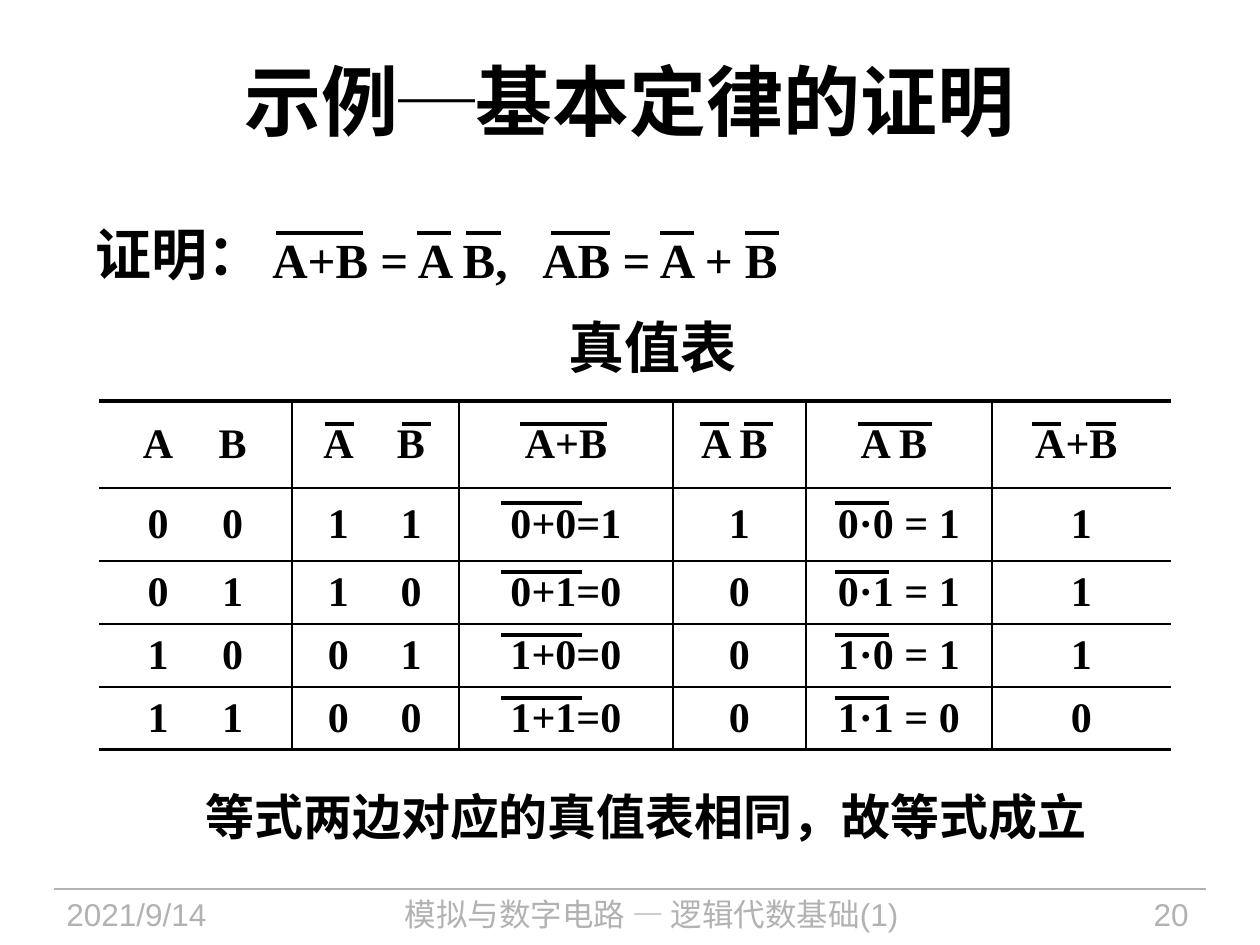
from lxml import etree
from pptx import Presentation
from pptx.dml.color import RGBColor
from pptx.enum.shapes import MSO_CONNECTOR
from pptx.enum.text import MSO_ANCHOR, PP_ALIGN
from pptx.oxml.ns import qn
from pptx.util import Emu, Pt

LEFT, CENTER, RIGHT = PP_ALIGN.LEFT, PP_ALIGN.CENTER, PP_ALIGN.RIGHT
TOP, MIDDLE = MSO_ANCHOR.TOP, MSO_ANCHOR.MIDDLE
STRAIGHT = MSO_CONNECTOR.STRAIGHT
PX_PER_INCH = 126
SANS, SERIF = "Arial", "Times New Roman"
BLACK, GRAY = "000000", "B2B2B2"


def px(length):
    return Emu(round(length * 914400 / PX_PER_INCH))


def color(value):
    return RGBColor.from_string(value)


def apply(target, values):
    for name, value in values.items():
        setattr(target, name, value)


def tab_stop(para, position):
    stops = etree.SubElement(para._p.get_or_add_pPr(), qn("a:tabLst"))
    etree.SubElement(stops, qn("a:tab"), pos=str(px(position)), algn="l")


def set_borders(cell, widths):
    """Draw the left, right, top and bottom border; a width of 0 hides it."""
    properties = cell._tc.get_or_add_tcPr()
    for index, (side, width) in enumerate(zip("LRTB", widths)):
        line = etree.Element(qn(f"a:ln{side}"), w=str(Pt(width)))
        if width:
            fill = etree.SubElement(line, qn("a:solidFill"))
            etree.SubElement(fill, qn("a:srgbClr"), val=BLACK)
        else:
            etree.SubElement(line, qn("a:noFill"))
        properties.insert(index, line)


class SlideWriter:
    def __init__(self, deck):
        self.page = deck.slides.add_slide(deck.slide_layouts[5])

    def spans(self, para, parts, size, ink=BLACK, bold=True, align=LEFT):
        """Fill a paragraph with (wording, font name) parts."""
        para.alignment = align
        for wording, font in parts:
            span = para.add_run()
            span.text = wording
            apply(span.font, {"name": font, "size": Pt(size), "bold": bold})
            span.font.color.rgb = color(ink)

    def title(self, parts, left, top, width, height, size):
        box = self.page.shapes.title
        apply(box, {"left": px(left), "top": px(top),
                    "width": px(width), "height": px(height)})
        box.text_frame.vertical_anchor = MIDDLE
        self.spans(box.text_frame.paragraphs[0], parts, size, align=CENTER)

    def text(self, wording, left, top, width, height, size, font=SANS,
             anchor=TOP, tab=None, **style):
        box = self.page.shapes.add_textbox(px(left), px(top), px(width), px(height))
        apply(box.text_frame, {"word_wrap": False, "vertical_anchor": anchor})
        para = box.text_frame.paragraphs[0]
        if tab:
            tab_stop(para, tab)
        self.spans(para, [(wording, font)], size, **style)

    def horizontal(self, left, right, y, width=2.25, ink=BLACK):
        line = self.page.shapes.add_connector(STRAIGHT, px(left), px(y), px(right), px(y))
        line.line.color.rgb = color(ink)
        line.line.width = Pt(width)
        etree.SubElement(line._element.spPr, qn("a:effectLst"))

    def table(self, rows, x_edges, y_edges, dividers, rules, margins, size):
        """Dividers and rules give one line width per inner column and row edge."""
        frame = self.page.shapes.add_table(
            len(rows), len(x_edges) - 1, px(x_edges[0]), px(y_edges[0]),
            px(x_edges[-1] - x_edges[0]), px(y_edges[-1] - y_edges[0]))
        table = frame.table
        apply(table, {"first_row": False, "horz_banding": False})
        for column, start, end in zip(table.columns, x_edges, x_edges[1:]):
            column.width = px(end - start)
        for row, start, end in zip(table.rows, y_edges, y_edges[1:]):
            row.height = px(end - start)
        for r, row in enumerate(rows):
            for c, wording in enumerate(row):
                cell = table.cell(r, c)
                left, right = margins(r, c)
                apply(cell, {"margin_left": px(left), "margin_right": px(right),
                             "margin_top": 0, "margin_bottom": 0,
                             "vertical_anchor": MIDDLE})
                cell.fill.background()
                set_borders(cell, (dividers[c], dividers[c + 1], rules[r], rules[r + 1]))
                self.spans(cell.text_frame.paragraphs[0], [(wording, SERIF)],
                           size, align=CENTER)


def truth_margins(row, column):
    """Draw the paired variables together and shift the wide headings left."""
    pairs = {0: (22, 0), 1: (0, 22), 2: (10, 0), 3: (0, 12)}
    if column in pairs:
        return pairs[column]
    return (0, 10) if row == 0 and column > 4 else (0, 0)


def truth_rows():
    yield ["A", "B", "A", "B", "A+B", "A B", "A B", "A+B"]
    for a in (0, 1):
        for b in (0, 1):
            nor, nand = int(not (a or b)), int(not (a and b))
            yield [str(a), str(b), str(1 - a), str(1 - b), f"{a}+{b}={nor}",
                   str(nor), f"{a}·{b} = {nand}", str(nand)]


def main():
    deck = Presentation()
    deck.slide_width, deck.slide_height = px(1260), px(945)
    slide = SlideWriter(deck)

    slide.horizontal(54, 1206, 889, 0.75, GRAY)
    for wording, left, width, align in (
            ("2021/9/14", 54, 237, LEFT),
            ("模拟与数字电路 — 逻辑代数基础(1)", 314, 675, CENTER),
            ("20", 1033, 168, RIGHT)):
        slide.text(wording, left, 889, width, 55, 18, ink=GRAY, bold=False, align=align)

    slide.title([("示例─", SERIF), ("基本定律的证明", SANS)], 63, 21, 1134, 158, 44)
    slide.text("证明：", 83, 213, 194, 79, 32, align=CENTER)
    slide.text("A+B = A B,\tAB = A + B", 260, 223, 544, 72, 28, SERIF, MIDDLE, tab=270)
    slide.text("真值表", 556, 306, 194, 79, 32)
    slide.text("等式两边对应的真值表相同，故等式成立", 193, 780, 911, 72, 28)

    row_edges = [401, 488, 561, 624, 687, 750]
    slide.table(list(truth_rows()), [99, 195, 292, 375, 459, 673, 806, 992, 1171],
                row_edges, [0, 0, 1, 0, 1, 1, 1, 1, 0],
                [2, 1, 0.75, 0.75, 0.75, 2], truth_margins, 24)

    formula_bars = [(276, 363), (417, 451), (466, 501), (551, 610), (660, 694), (745, 779)]
    heading_bars = [(325, 354), (402, 431), (520, 607), (700, 729), (744, 773),
                    (858, 932), (1032, 1061), (1086, 1116)]
    for bars, y in ((formula_bars, 233), (heading_bars, 424)):
        for left, right in bars:
            slide.horizontal(left, right, y)
    for y in (503, *(edge + 11 for edge in row_edges[2:-1])):
        slide.horizontal(501, 582, y)
        slide.horizontal(835, 889, y)

    deck.save("out.pptx")


if __name__ == "__main__":
    main()
